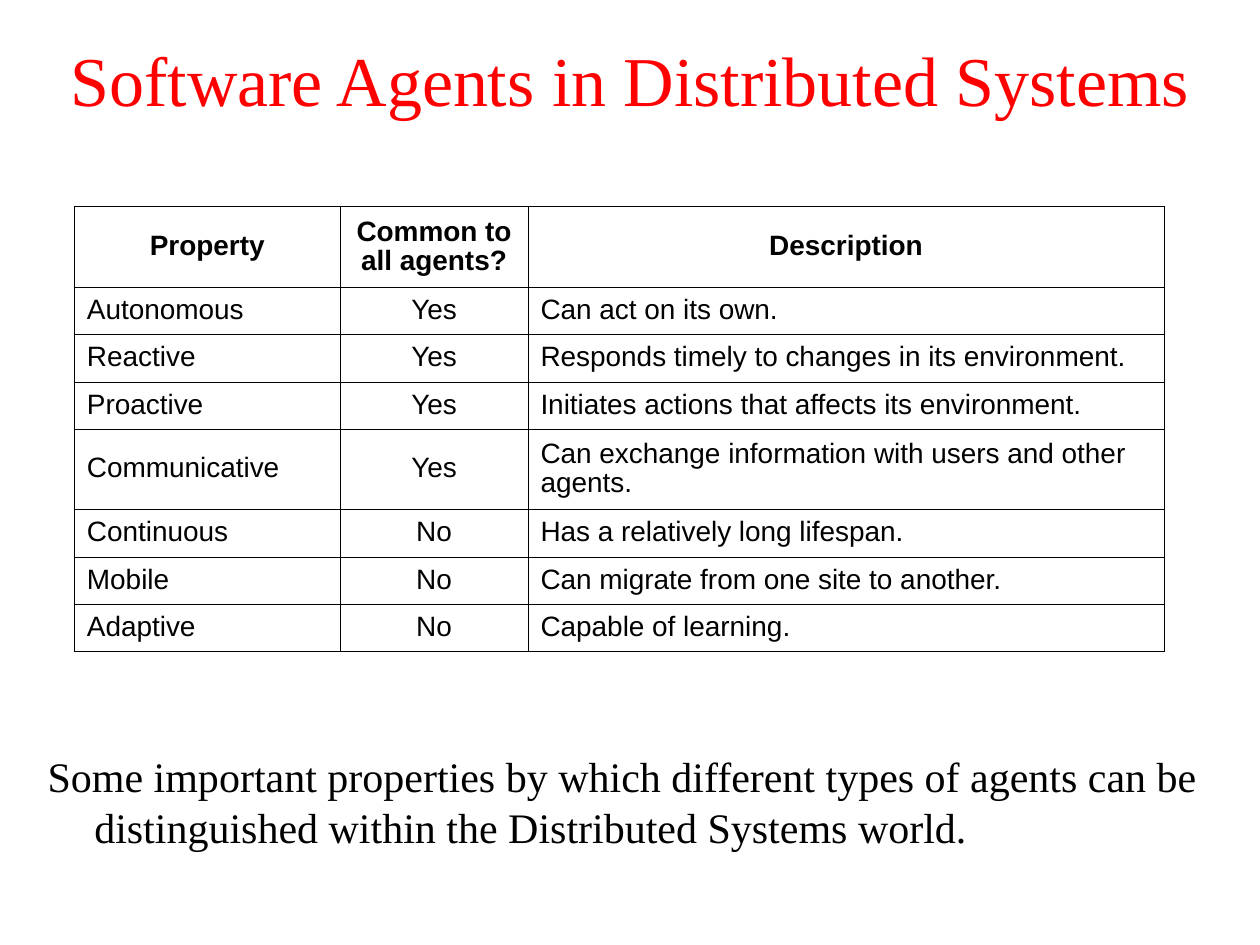
from lxml import etree
from pptx import Presentation
from pptx import util as u
from pptx.dml.color import RGBColor
from pptx.enum import text
from pptx.oxml import ns

RED = RGBColor(0xFF, 0x00, 0x00)
BLACK = RGBColor(0x00, 0x00, 0x00)
SERIF = "Times New Roman"
SANS = "Arial"
OUTER_LINE = 0.5
INNER_LINE = 0.23

COLUMN_WIDTHS = [2.11, 1.49, 5.05]
SINGLE_ROW = 0.375
DOUBLE_ROW = 0.64
DOUBLE_ROWS = (0, 4)
PROPERTIES = [
    ("Property", "Common to all agents?", "Description"),
    ("Autonomous", "Yes", "Can act on its own."),
    ("Reactive", "Yes", "Responds timely to changes in its environment."),
    ("Proactive", "Yes", "Initiates actions that affects its environment."),
    ("Communicative", "Yes", "Can exchange information with users and other agents."),
    ("Continuous", "No", "Has a relatively long lifespan."),
    ("Mobile", "No", "Can migrate from one site to another."),
    ("Adaptive", "No", "Capable of learning."),
]


def add_run(paragraph, words, font, size, color, bold=False):
    run = paragraph.add_run()
    run.text = words
    run.font.name = font
    run.font.size = u.Pt(size)
    run.font.bold = bold
    run.font.color.rgb = color


def add_title(slide, words):
    title = slide.shapes.title
    title.left, title.top = u.Inches(0), u.Inches(0)
    title.width, title.height = u.Inches(10), u.Inches(1.25)
    frame = title.text_frame
    frame.auto_size = text.MSO_AUTO_SIZE.NONE
    frame.vertical_anchor = text.MSO_ANCHOR.MIDDLE
    heading = frame.paragraphs[0]
    heading.alignment = text.PP_ALIGN.CENTER
    add_run(heading, words, SERIF, 40, RED)


def add_caption(slide, words):
    caption = slide.shapes.add_textbox(
        u.Inches(0.27), u.Inches(5.91), u.Inches(9.73), u.Inches(0.92))
    frame = caption.text_frame
    frame.word_wrap = True
    sentence = frame.paragraphs[0]
    sentence.space_before = u.Pt(6)
    indents = sentence._p.get_or_add_pPr()
    indents.set("marL", str(u.Inches(0.38)))
    indents.set("indent", str(u.Inches(-0.37)))
    add_run(sentence, words, SERIF, 24, BLACK)


def set_borders(cell, widths):
    properties = cell._tc.get_or_add_tcPr()
    for position, (side, width) in enumerate(widths.items()):
        line = etree.Element(ns.qn(f"a:ln{side}"), w=str(u.Pt(width)))
        fill = etree.SubElement(line, ns.qn("a:solidFill"))
        etree.SubElement(fill, ns.qn("a:srgbClr"), val=str(BLACK))
        properties.insert(position, line)


def fill_cell(cell, words, centered, bold):
    cell.fill.background()
    cell.vertical_anchor = text.MSO_ANCHOR.MIDDLE
    entry = cell.text_frame.paragraphs[0]
    entry.alignment = text.PP_ALIGN.CENTER if centered else text.PP_ALIGN.LEFT
    entry.line_spacing = 0.93
    entry.space_before = u.Pt(4)
    add_run(entry, words, SANS, 16, BLACK, bold)


def add_property_table(slide):
    heights = [DOUBLE_ROW if row in DOUBLE_ROWS else SINGLE_ROW
               for row in range(len(PROPERTIES))]
    table = slide.shapes.add_table(
        len(heights), len(COLUMN_WIDTHS), u.Inches(0.59), u.Inches(1.64),
        u.Inches(sum(COLUMN_WIDTHS)), u.Inches(sum(heights))).table
    table.horz_banding = False
    for column, width in zip(table.columns, COLUMN_WIDTHS):
        column.width = u.Inches(width)
    for row, height in zip(table.rows, heights):
        row.height = u.Inches(height)

    last_row, last_column = len(heights) - 1, len(COLUMN_WIDTHS) - 1
    for row, entries in enumerate(PROPERTIES):
        for column, words in enumerate(entries):
            cell = table.cell(row, column)
            header = row == 0
            fill_cell(cell, words, header or column == 1, header)
            on_edge = {"L": column == 0, "R": column == last_column,
                       "T": header, "B": row == last_row}
            set_borders(cell, {side: OUTER_LINE if edge else INNER_LINE
                               for side, edge in on_edge.items()})


def main():
    presentation = Presentation()
    presentation.slide_width = u.Inches(10)
    presentation.slide_height = u.Inches(7.5)
    slide = presentation.slides.add_slide(presentation.slide_layouts[5])
    add_title(slide, "Software Agents in Distributed Systems")
    add_caption(slide, "Some important properties by which different types of agents "
                       "can be distinguished within the Distributed Systems world.")
    add_property_table(slide)
    presentation.save("out.pptx")


if __name__ == "__main__":
    main()
